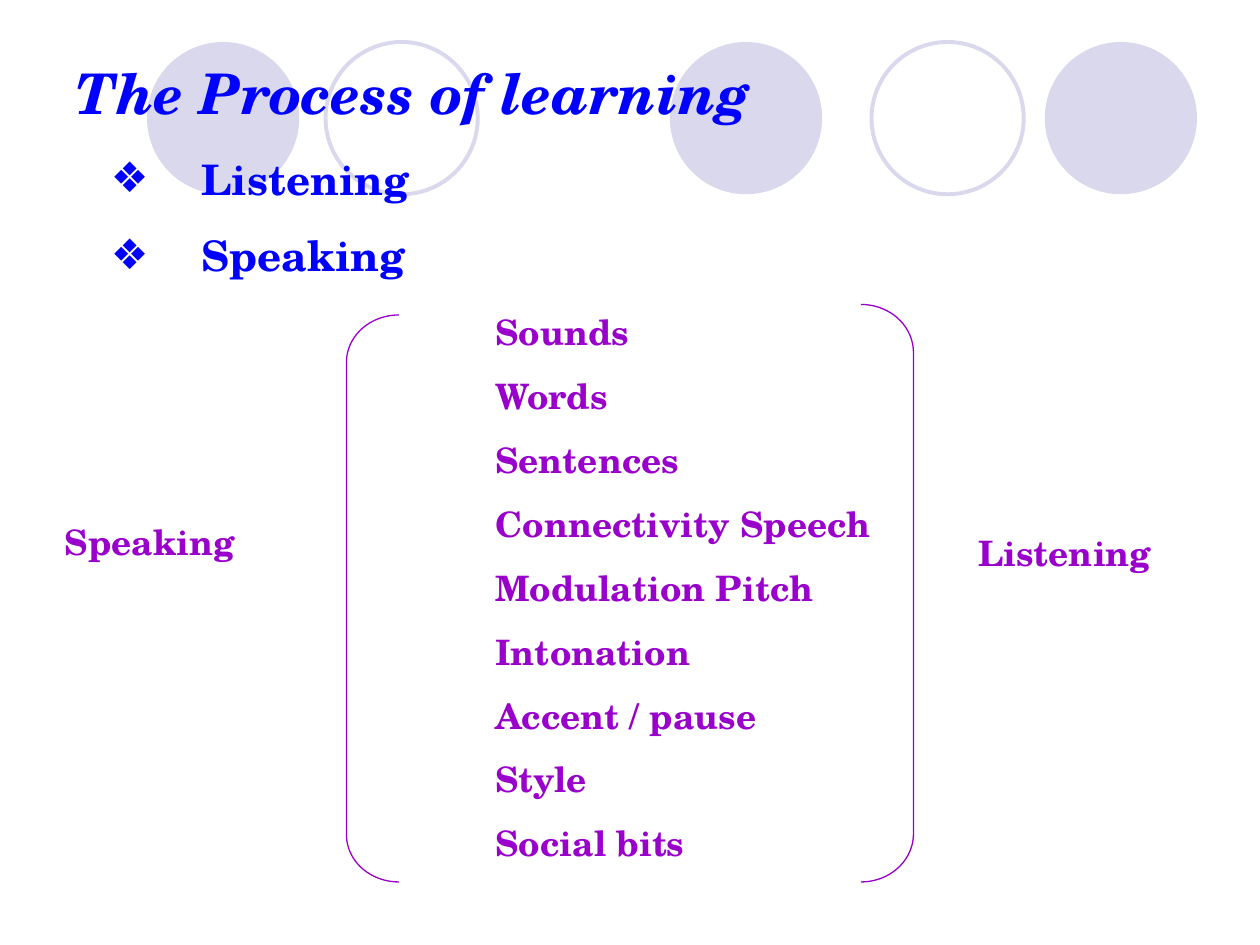
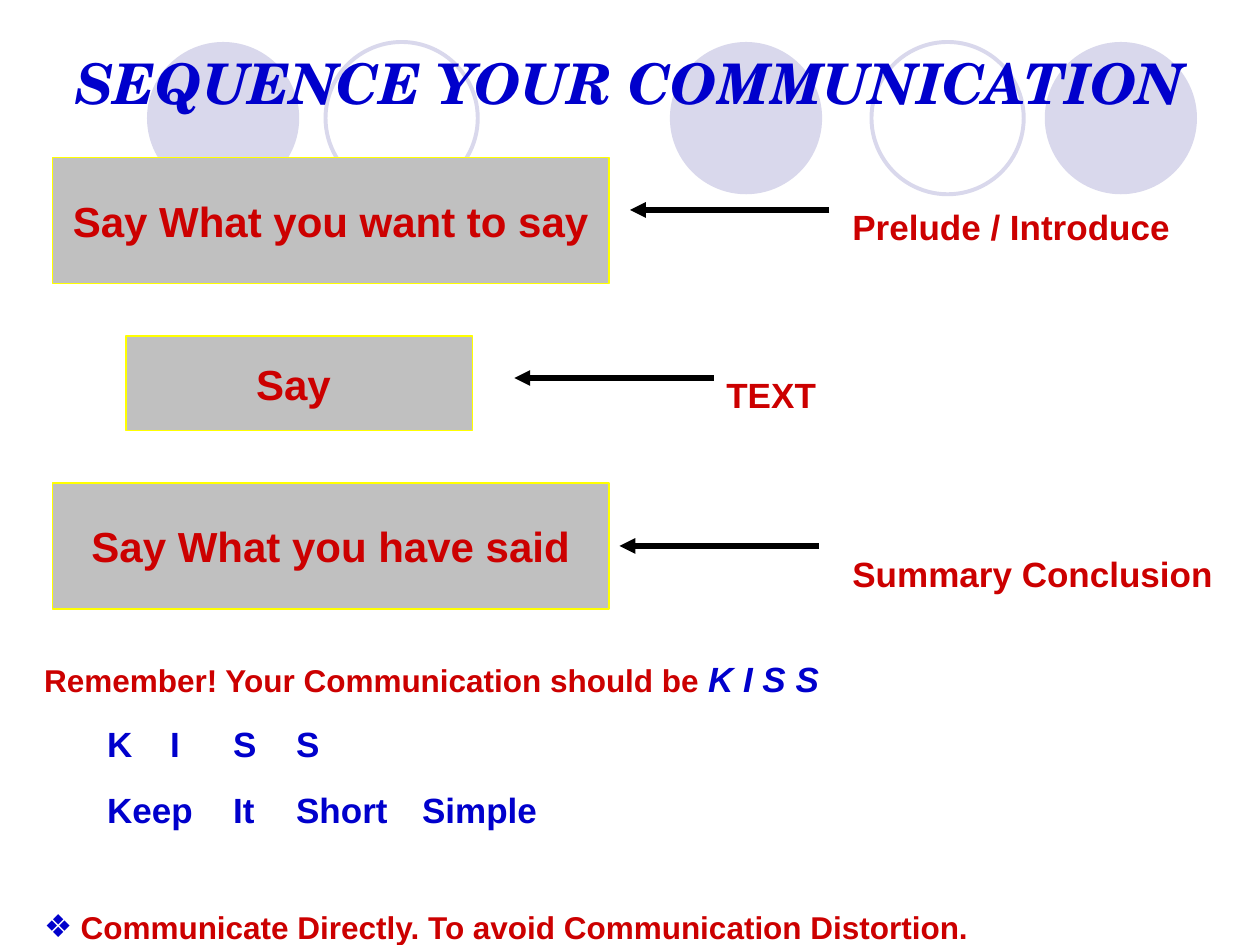
import lxml.etree
import pptx
import pptx.dml.color
import pptx.enum.shapes
import pptx.enum.text
import pptx.oxml.ns
import pptx.util

CELLS_PER_INCH = 12
COLUMNS, ROWS = 120, 90
LABEL_ROWS = 5.3
ARROW_COLUMNS = 19

SERIF, SANS = "TeX Gyre Schola", "Arial"
BLUE, NAVY, PURPLE, RED = "0000FF", "0000CC", "9900CC", "CC0000"
LILAC, GREY, YELLOW, BLACK = "D9D8EC", "C0C0C0", "FFFF00", "000000"

SHAPES = pptx.enum.shapes.MSO_SHAPE
ALIGN = pptx.enum.text.PP_ALIGN
ANCHOR = pptx.enum.text.MSO_ANCHOR

TITLE = {"name": SERIF, "size": 32, "bold": True, "italic": True}
LIST = {"name": SERIF, "size": 24, "bold": True, "color": BLUE}
TOPIC = {"name": SERIF, "size": 20, "bold": True, "color": PURPLE}
STEP = {"name": SANS, "size": 24, "bold": True, "color": RED}
NOTE = {**STEP, "size": 20}
REMINDER = {**STEP, "size": 18}
KISS = {**NOTE, "color": NAVY}


def cells(count):
    """Turn a number of grid cells into a length."""
    return pptx.util.Inches(count / CELLS_PER_INCH)


def rgb(value):
    """Turn a hex string into a colour."""
    return pptx.dml.color.RGBColor.from_string(value)


def apply(target, values):
    """Set every attribute named in a dict of format values."""
    for name, value in values.items():
        setattr(target, name, value)


def place(shape, box):
    """Put a shape on the grid."""
    apply(shape, dict(zip(("left", "top", "width", "height"), map(cells, box))))


def add_child(parent, tag, **values):
    """Append a drawing element with its attributes."""
    return lxml.etree.SubElement(parent, pptx.oxml.ns.qn(tag), values)


def add_span(para, text, style):
    """Add a formatted run of text."""
    span = para.add_run()
    span.text = text
    values = dict(style)
    values["size"] = pptx.util.Pt(values["size"])
    span.font.color.rgb = rgb(values.pop("color"))
    apply(span.font, values)


def set_list_format(para, margin=0, hang=0, bullet_color=None, tabs=()):
    """Give a paragraph its indents, bullet and tab stops, in inches."""
    props = para._p.get_or_add_pPr()
    props.set("marL", str(pptx.util.Inches(margin)))
    props.set("indent", str(-pptx.util.Inches(hang)))
    if bullet_color:
        add_child(add_child(props, "a:buClr"), "a:srgbClr", val=bullet_color)
        add_child(props, "a:buChar", char="❖")
    else:
        add_child(props, "a:buNone")
    if tabs:
        stops = add_child(props, "a:tabLst")
        for stop in tabs:
            add_child(stops, "a:tab", pos=str(pptx.util.Inches(stop)), algn="l")


def fill_text(frame, paras, align=ALIGN.LEFT, anchor=ANCHOR.TOP, wrap=True):
    """Write paragraphs given as (spans, space before, list format)."""
    apply(frame, {"word_wrap": wrap, "vertical_anchor": anchor,
                  "auto_size": pptx.enum.text.MSO_AUTO_SIZE.NONE})
    for index, (spans, space, list_format) in enumerate(paras):
        para = frame.add_paragraph() if index else frame.paragraphs[0]
        set_list_format(para, **list_format)
        apply(para, {"alignment": align, "line_spacing": 1.0,
                     "space_before": pptx.util.Pt(space if index else 0)})
        for text, style in spans:
            add_span(para, text, style)


def add_lines(page, box, lines, style, space=12.5):
    """Add a text box with one paragraph for each line."""
    label = page.shapes.add_textbox(*map(cells, box))
    fill_text(label.text_frame, [([(line, style)], space, {}) for line in lines])


def add_figure(page, kind, box, fill=None, line=None, weight=0.75):
    """Add a flat preset shape."""
    shape = page.shapes.add_shape(kind, *map(cells, box))
    shape.shadow.inherit = False
    if fill:
        shape.fill.solid()
        shape.fill.fore_color.rgb = rgb(fill)
    else:
        shape.fill.background()
    if line:
        shape.line.color.rgb = rgb(line)
        shape.line.width = pptx.util.Pt(weight)
    else:
        shape.line.fill.background()
    return shape


def add_master_circles(deck, page):
    """Build the row of circles and move it to the slide master."""
    for index, left in enumerate((14, 31, 63.8, 83, 99.5)):
        paint = {"line": LILAC, "weight": 2.25} if index in (1, 3) else {"fill": LILAC}
        circle = add_figure(page, SHAPES.OVAL, (left, 4, 14.5, 14.5), **paint)
        circle.element.nvSpPr.cNvPr.set("id", str(20 + index))
        deck.slide_master.shapes.element.append(circle.element)


def add_title(page, box, text, color):
    """Move and write the title placeholder."""
    place(page.shapes.title, box)
    fill_text(page.shapes.title.text_frame,
              [([(text, {**TITLE, "color": color})], 0, {})])


def add_body(page, box, paras):
    """Move and write the body placeholder."""
    body = page.placeholders[1]
    place(body, box)
    fill_text(body.text_frame, paras)


def add_bracket(page, kind, box):
    """Add a tall bracket whose curves take a twelfth of its height."""
    bracket = add_figure(page, kind, box, line=PURPLE)
    bracket.adjustments[0] = box[3] / (12 * box[2])


def add_arrow(page, right, row):
    """Add an arrow of standard length that points left."""
    arrow = page.shapes.add_connector(
        pptx.enum.shapes.MSO_CONNECTOR.STRAIGHT,
        *map(cells, (right, row, right - ARROW_COLUMNS, row)))
    arrow.line.color.rgb = rgb(BLACK)
    arrow.line.width = pptx.util.Pt(3)
    props = arrow.element.spPr
    add_child(props.find(pptx.oxml.ns.qn("a:ln")), "a:tailEnd", type="triangle")
    add_child(props, "a:effectLst")


def add_step(page, box, text, arrow_at, note_at, note):
    """Add a step box with its arrow and note, offset from the box corner."""
    left, top = box[:2]
    step = add_figure(page, SHAPES.RECTANGLE, box, fill=GREY, line=YELLOW)
    fill_text(step.text_frame, [([(text, STEP)], 0, {})],
              align=ALIGN.CENTER, anchor=ANCHOR.MIDDLE, wrap=False)
    add_arrow(page, left + arrow_at[0], top + arrow_at[1])
    add_lines(page, (left + note_at[0], top + note_at[1], 40, LABEL_ROWS), [note], NOTE)


def build_learning(page):
    """Fill the slide on the process of learning."""
    add_title(page, (6, 5, 79, 7.7), "The Process of learning", BLUE)
    bullet = {"margin": 1, "hang": 0.72, "bullet_color": BLUE}
    add_body(page, (6, 14, 79, 13.3),
             [([(text, LIST)], 15, bullet) for text in ("Listening", "Speaking")])
    add_lines(page, (5, 49, 20, LABEL_ROWS), ["Speaking"], TOPIC)
    add_bracket(page, SHAPES.LEFT_BRACKET, (33, 30, 5, 54))
    add_bracket(page, SHAPES.RIGHT_BRACKET, (82, 29, 5, 55))
    add_lines(page, (46, 29, 40, 54),
              ("Sounds", "Words", "Sentences", "Connectivity Speech", "Modulation Pitch",
               "Intonation", "Accent / pause", "Style", "Social bits"), TOPIC)
    add_lines(page, (92, 50, 20, LABEL_ROWS), ["Listening"], TOPIC)


def build_sequence(page):
    """Fill the slide on sequencing communication."""
    add_title(page, (6, 4, 114, 7.7), "SEQUENCE YOUR COMMUNICATION", NAVY)
    add_step(page, (5, 15, 53, 12), "Say What you want to say",
             (74, 5), (75, 4), "Prelude / Introduce")
    add_step(page, (12, 32, 33, 9), "Say ", (56, 4), (56, 3), "TEXT")
    add_step(page, (5, 46, 53, 12), "Say What you have said",
             (73, 6), (75, 6), "Summary Conclusion")
    columns = {"tabs": (2, 4, 6, 8)}
    bullet = {"margin": 0.29, "hang": 0.29, "bullet_color": NAVY}
    add_body(page, (3, 62, 117, 28), [
        ([("Remember! Your Communication should be ", REMINDER),
          ("K I S S", {**KISS, "italic": True})], 0, {}),
        ([("\tK\tI\tS\tS", KISS)], 13.5, columns),
        ([("\tKeep\tIt\tShort\tSimple", KISS)], 13.5, columns),
        ([("Communicate Directly. To avoid Communication Distortion.", REMINDER)],
         44, bullet)])


def main():
    """Build and save the deck."""
    deck = pptx.Presentation()
    apply(deck, {"slide_width": cells(COLUMNS), "slide_height": cells(ROWS)})
    pages = [deck.slides.add_slide(deck.slide_layouts[1]) for _ in range(2)]
    add_master_circles(deck, pages[0])
    build_learning(pages[0])
    build_sequence(pages[1])
    deck.save("out.pptx")


if __name__ == "__main__":
    main()
